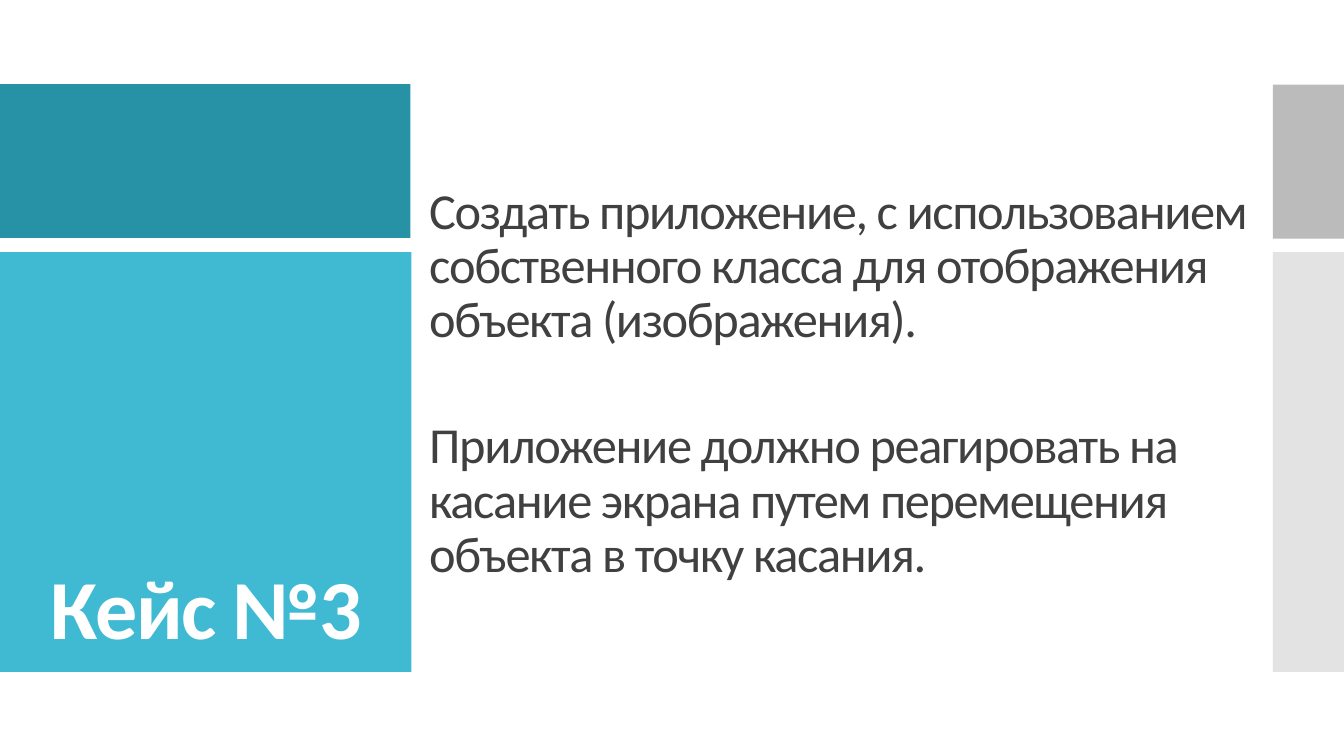
from lxml import etree
from pptx import Presentation
from pptx.dml.color import RGBColor
from pptx.enum.text import MSO_ANCHOR, MSO_AUTO_SIZE, PP_ALIGN
from pptx.enum.shapes import MSO_SHAPE
from pptx.oxml.ns import qn
from pptx.util import Pt

RECTANGLE = MSO_SHAPE.RECTANGLE
TOP = MSO_ANCHOR.TOP
FIT_SHAPE = MSO_AUTO_SIZE.SHAPE_TO_FIT_TEXT
LEFT, RIGHT = PP_ALIGN.LEFT, PP_ALIGN.RIGHT


def color(value):
    return RGBColor.from_string(value)


def write(paragraph, text, size, value, bold, align, space_after):
    paragraph.alignment = align
    paragraph.line_spacing = 0.9
    paragraph.space_before = Pt(0)
    paragraph.space_after = Pt(space_after)
    run = paragraph.add_run()
    run.text = text
    run.font.name = "Calibri"
    run.font.size = Pt(size)
    run.font.bold = bold
    run.font.color.rgb = color(value)
    run.font.element.get_or_add_rPr().set("spc", "-100") if hasattr(run.font, "element") else run._r.get_or_add_rPr().set("spc", "-100")


deck = Presentation()
deck.slide_width = Pt(960)
deck.slide_height = Pt(540)
slide = deck.slides.add_slide(deck.slide_layouts[5])
slide.background.fill.solid()
slide.background.fill.fore_color.rgb = color("FFFFFF")

bands = [
    (0, 60, 293.2, 110, "2791A6", None),
    (909.2, 60.4, 50.8, 110, "BBBBBB", None),
    (0, 180, 293.8, 300, "40BAD2", None),
    (909.2, 180, 50.8, 300, "C8C8C8", 50),
]
for left, top, width, height, fill, opacity in bands:
    band = slide.shapes.add_shape(RECTANGLE, Pt(left), Pt(top), Pt(width), Pt(height))
    band.shadow.inherit = False
    band.line.fill.background()
    band.fill.solid()
    band.fill.fore_color.rgb = color(fill)
    if opacity:
        tint = band.element.spPr.find(qn("a:solidFill")).find(qn("a:srgbClr"))
        etree.SubElement(tint, qn("a:alpha")).set("val", str(opacity * 1000))

task = slide.shapes.add_textbox(Pt(299.5), Pt(129), Pt(610.5), Pt(300)).text_frame
task.word_wrap = True
task.vertical_anchor = TOP
requirements = [
    "Создать приложение, с использованием собственного класса для отображения объекта (изображения).",
    "Приложение должно реагировать на касание экрана путем перемещения объекта в точку касания.",
]
for index, requirement in enumerate(requirements):
    paragraph = task.add_paragraph() if index else task.paragraphs[0]
    write(paragraph, requirement, 36, "404040", False, LEFT, 51)

case_title = slide.shapes.title
case_title.left, case_title.top = Pt(18), Pt(401)
case_title.width, case_title.height = Pt(247.7), Pt(72.7)
case_title.text_frame.word_wrap = False
case_title.text_frame.auto_size = FIT_SHAPE
case_title.text_frame.vertical_anchor = TOP
write(case_title.text_frame.paragraphs[0], "Кейс №3", 60, "FFFFFF", True, RIGHT, 6)
case_title.element.getparent().append(case_title.element)

deck.save("out.pptx")
